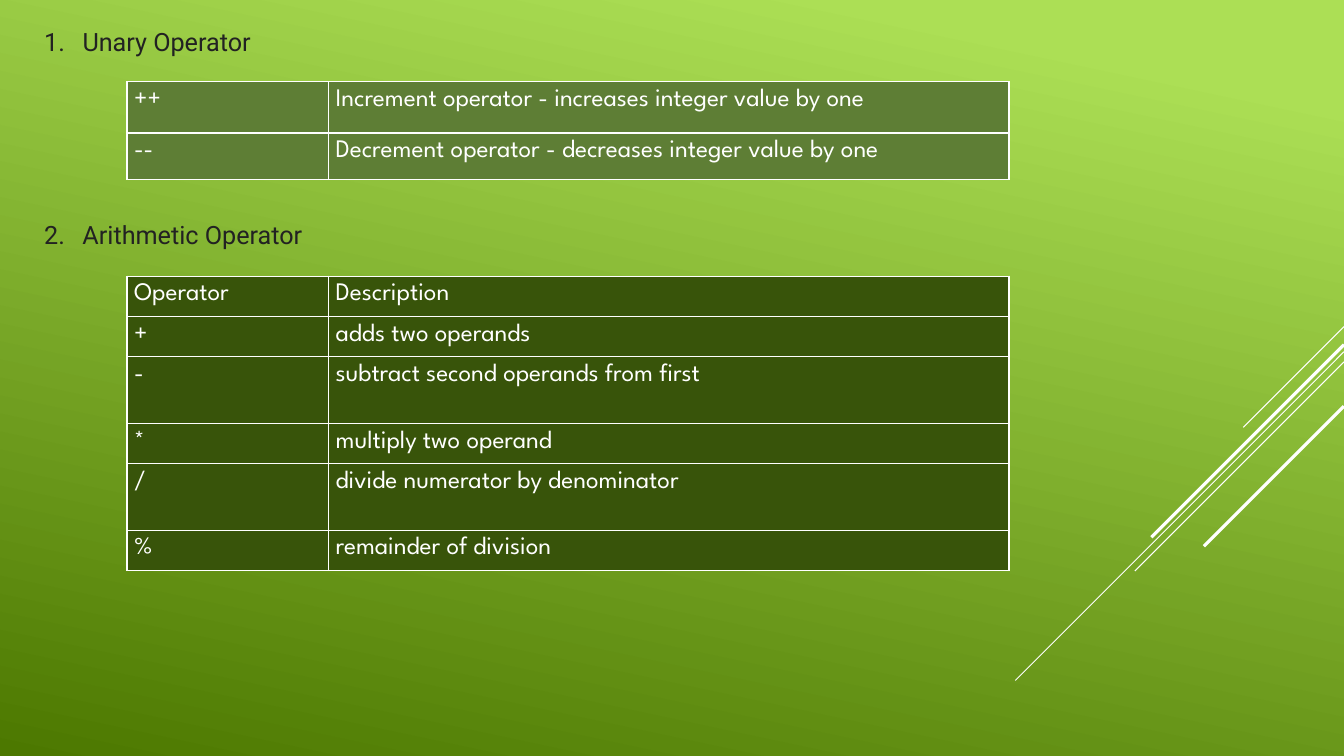
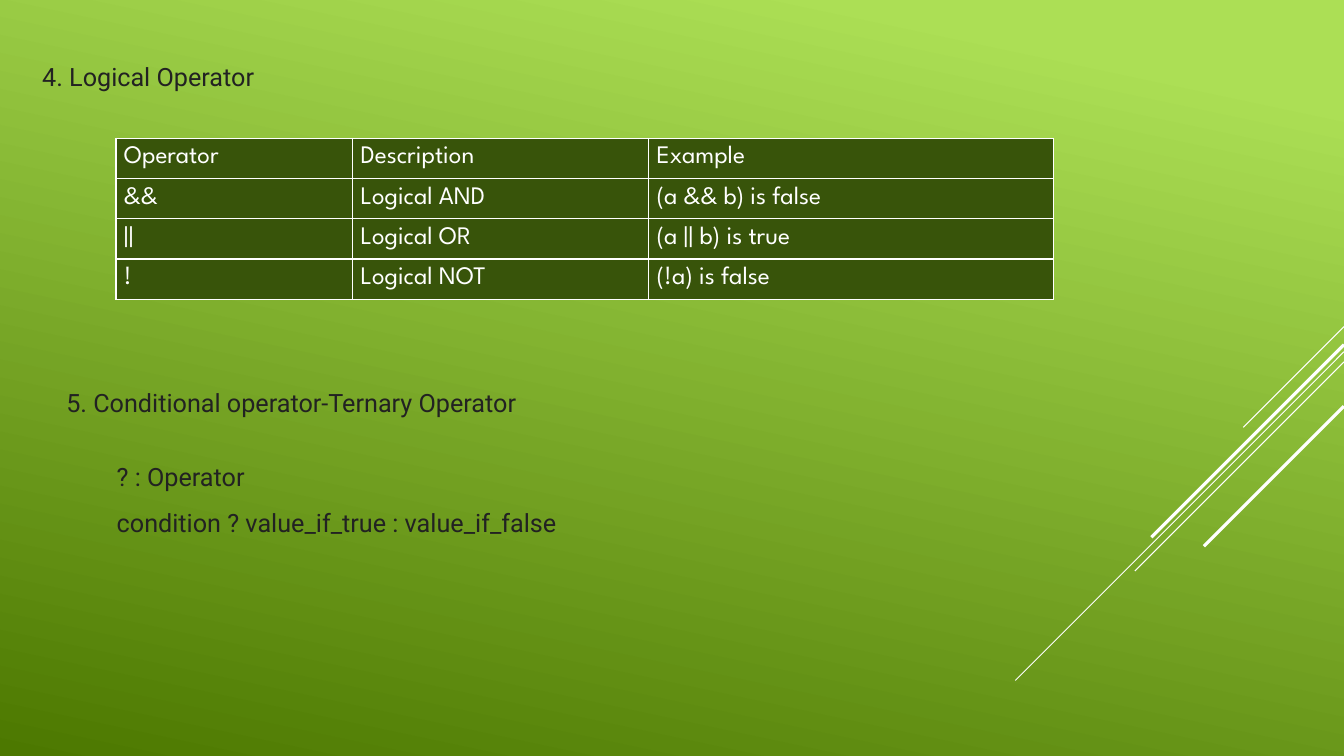
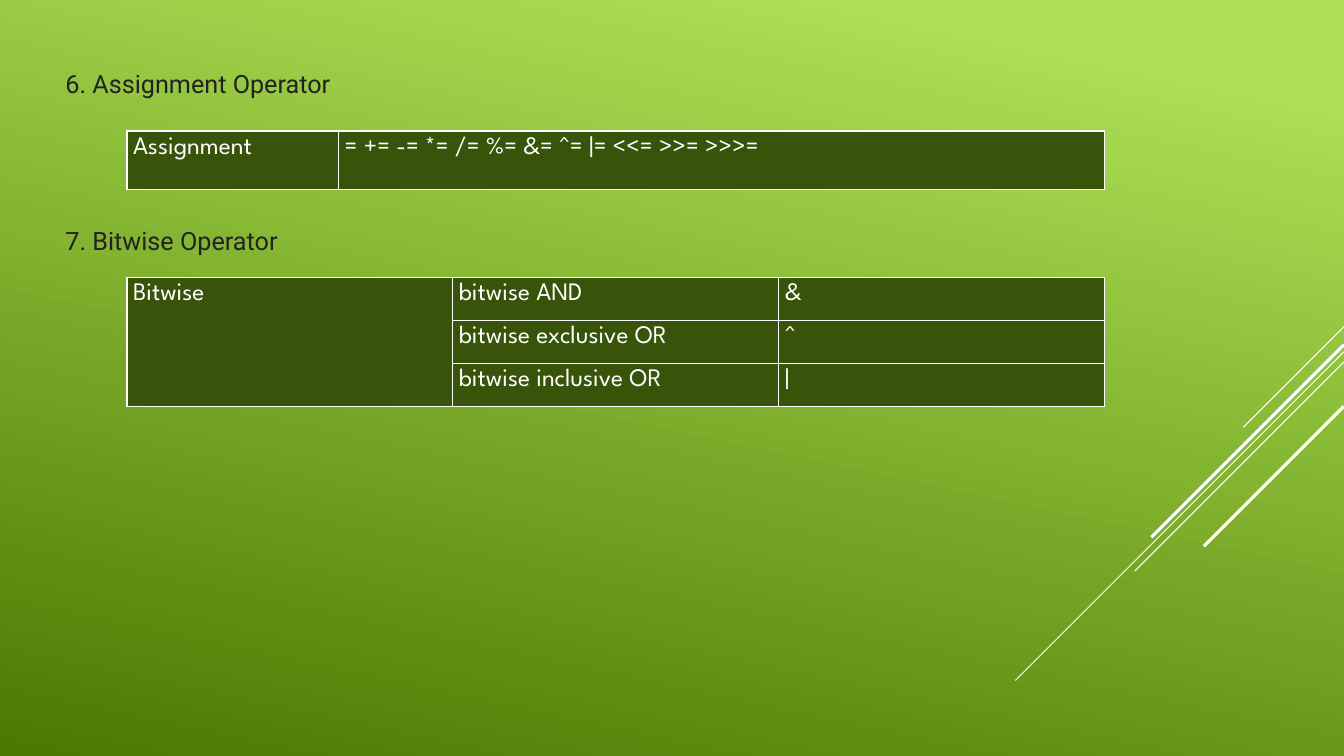
from lxml import etree
from pptx import Presentation
from pptx.dml.color import RGBColor
from pptx.enum.shapes import MSO_CONNECTOR
from pptx.enum.text import MSO_AUTO_SIZE
from pptx.oxml.ns import qn
from pptx.util import Emu, Inches, Pt

# The slide is a grid of tenth-inch cells; every box is (left, top, width, height) in cells.
CELL = Inches(0.1)
COLUMNS, ROWS = 133.33, 75
LIME, MOSS = "ACDF55", "4C7800"
DARK_GREEN, SAGE = "38540A", "5E7E35"
WHITE, INK = "FFFFFF", "222222"
HEADING_FONT, TABLE_FONT = "Roboto", "League Spartan"
TEXT_SIZE = Pt(18)
# Diagonals run from the right edge at 45 degrees: (start row, reach, points).
DIAGONALS = [(32.4, 10, 0.75), (34.9, 32.6, 0.75), (35.9, 20.75, 0.75),
             (34.2, 19.1, 2.25), (40.3, 13.9, 2.25)]


def color(value):
    """Return the colour of a hex string."""
    return RGBColor.from_string(value)


def cells(*lengths):
    """Turn grid lengths into slide units."""
    return [Emu(round(length * CELL)) for length in lengths]


def style_runs(paragraph, font_name, hex_color):
    """Give every run of a paragraph its font, size and colour."""
    for run in paragraph.runs:
        run.font.name = font_name
        run.font.size = TEXT_SIZE
        run.font.color.rgb = color(hex_color)


def add_backdrop(slide):
    """Fill the background with the green gradient and draw the diagonals."""
    fill = slide.background.fill
    fill.gradient()
    fill.gradient_angle = 360 - 102
    for stop, position, shade in zip(fill.gradient_stops, (0.1, 1), (LIME, MOSS)):
        stop.position = position
        stop.color.rgb = color(shade)
    for row, reach, points in DIAGONALS:
        ends = cells(COLUMNS, row, COLUMNS - reach, row + reach)
        line = slide.shapes.add_connector(MSO_CONNECTOR.STRAIGHT, *ends)
        line.line.color.rgb = color(WHITE)
        line.line.width = Pt(points)
        etree.SubElement(line._element.spPr, qn("a:effectLst"))


def add_text(slide, box, lines, wrap=False):
    """Write dark heading lines in a box and return their paragraphs."""
    text_frame = slide.shapes.add_textbox(*cells(*box)).text_frame
    text_frame.word_wrap = wrap
    text_frame.auto_size = MSO_AUTO_SIZE.SHAPE_TO_FIT_TEXT
    text_frame.text = "\n".join(lines)
    for paragraph in text_frame.paragraphs:
        paragraph.line_spacing = 1.5
        style_runs(paragraph, HEADING_FONT, INK)
    return text_frame.paragraphs


def indent(paragraph, margin, hanging=0):
    """Indent a paragraph, with an optional hanging first line; return its properties."""
    properties = paragraph._p.get_or_add_pPr()
    properties.set("marL", str(Inches(margin)))
    properties.set("indent", str(-Inches(hanging)))
    return properties


def add_numbered_heading(slide, box, number, text):
    """Write a heading with an automatic number."""
    properties = indent(add_text(slide, box, [text])[0], 0.38, hanging=0.38)
    etree.SubElement(properties, qn("a:buFont"), typeface="+mj-lt")
    etree.SubElement(properties, qn("a:buAutoNum"), type="arabicPeriod", startAt=str(number))


def add_borders(cell):
    """Draw a thin white line on each side of a cell."""
    properties = cell._tc.get_or_add_tcPr()
    for side in ("lnL", "lnR", "lnT", "lnB"):
        border = etree.SubElement(properties, qn(f"a:{side}"), w=str(Pt(1)))
        fill = etree.SubElement(border, qn("a:solidFill"))
        etree.SubElement(fill, qn("a:srgbClr"), val=WHITE)


def fill_cell(cell, text, inset, fill):
    """Style one table cell and write its text."""
    cell.margin_left = cell.margin_right = Inches(inset)
    cell.margin_top = cell.margin_bottom = Inches(inset)
    add_borders(cell)
    cell.fill.solid()
    cell.fill.fore_color.rgb = color(fill)
    cell.text_frame.text = text
    style_runs(cell.text_frame.paragraphs[0], TABLE_FONT, WHITE)


def add_operator_table(slide, box, rows, column_shares, row_shares=None,
                       inset=0.07, fill=DARK_GREEN):
    """Build a table whose columns and rows share out the box; return it."""
    width, height = box[2:]
    row_shares = row_shares or [1] * len(rows)
    table = slide.shapes.add_table(len(rows), len(column_shares), *cells(*box)).table
    table.first_row = table.horz_banding = False
    for column, share in zip(table.columns, column_shares):
        column.width, = cells(width * share / sum(column_shares))
    for row, share in zip(table.rows, row_shares):
        row.height, = cells(height * share / sum(row_shares))
    for row, texts in zip(table.rows, rows):
        for cell, text in zip(row.cells, texts):
            fill_cell(cell, text, inset, fill)
    return table


def unary_and_arithmetic(slide):
    """Unary and arithmetic operators."""
    columns = (2, 6.75)
    add_operator_table(slide, (12.6, 27.4, 87.5, 29.2), [
        ("Operator", "Description"),
        ("+", "adds two operands"),
        ("-", "subtract second operands from first"),
        ("*", "multiply two operand"),
        ("/", "divide numerator by denominator"),
        ("%", "remainder of division"),
    ], columns, (0.4, 0.4, 0.66, 0.4, 0.66, 0.4))
    add_operator_table(slide, (12.6, 8.1, 87.5, 9.7), [
        ("++", "Increment operator - increases integer value by one"),
        ("--", "Decrement operator - decreases integer value by one"),
    ], columns, (0.51, 0.46), fill=SAGE)
    add_numbered_heading(slide, (3.4, 0.6, 23.2, 5.6), 1, "Unary Operator")
    add_numbered_heading(slide, (3.4, 19.8, 28, 5.6), 2, "Arithmetic Operator")


def logical_and_conditional(slide):
    """Logical operators and the ternary operator."""
    add_operator_table(slide, (11.5, 13.7, 93, 16), [
        ("Operator", "Description", "Example"),
        ("&&", "Logical AND", "(a && b) is false"),
        ("||", "Logical OR", "(a || b) is true"),
        ("!", "Logical NOT", "(!a) is false"),
    ], (2.35, 2.94, 4.02), inset=0.08)
    add_text(slide, (3.2, 4.1, 23.5, 5.6), ["4. Logical Operator"])
    _, symbol, syntax = add_text(slide, (5.6, 36.4, 66.7, 22.7), [
        "5. Conditional operator-Ternary Operator",
        "? : Operator",
        "condition ? value_if_true : value_if_false",
    ], wrap=True)
    symbol.space_before = Pt(21)
    for paragraph in (symbol, syntax):
        indent(paragraph, 0.5)


def assignment_and_bitwise(slide):
    """Assignment and bitwise operators."""
    add_text(slide, (5.5, 4.8, 28.5, 5.6), ["6. Assignment Operator"])
    add_operator_table(slide, (12.6, 13, 97, 5.8), [
        ("Assignment", "= += -= *= /= %= &= ^= |= <<= >>= >>>="),
    ], (2.1, 7.6), inset=0.06)
    add_text(slide, (5.5, 20.4, 23.5, 5.6), ["7. Bitwise Operator"])
    bitwise = add_operator_table(slide, (12.6, 27.5, 97, 12.8), [
        ("Bitwise", "bitwise AND", "&"),
        ("", "bitwise exclusive OR", "^"),
        ("", "bitwise inclusive OR", "|"),
    ], (1, 1, 1), inset=0.06)
    bitwise.cell(0, 0).merge(bitwise.cell(2, 0))


def main():
    """Build and save the presentation."""
    presentation = Presentation()
    presentation.slide_width, presentation.slide_height = cells(COLUMNS, ROWS)
    blank = presentation.slide_layouts[6]
    for build in (unary_and_arithmetic, logical_and_conditional, assignment_and_bitwise):
        slide = presentation.slides.add_slide(blank)
        add_backdrop(slide)
        build(slide)
    presentation.save("out.pptx")


main()
